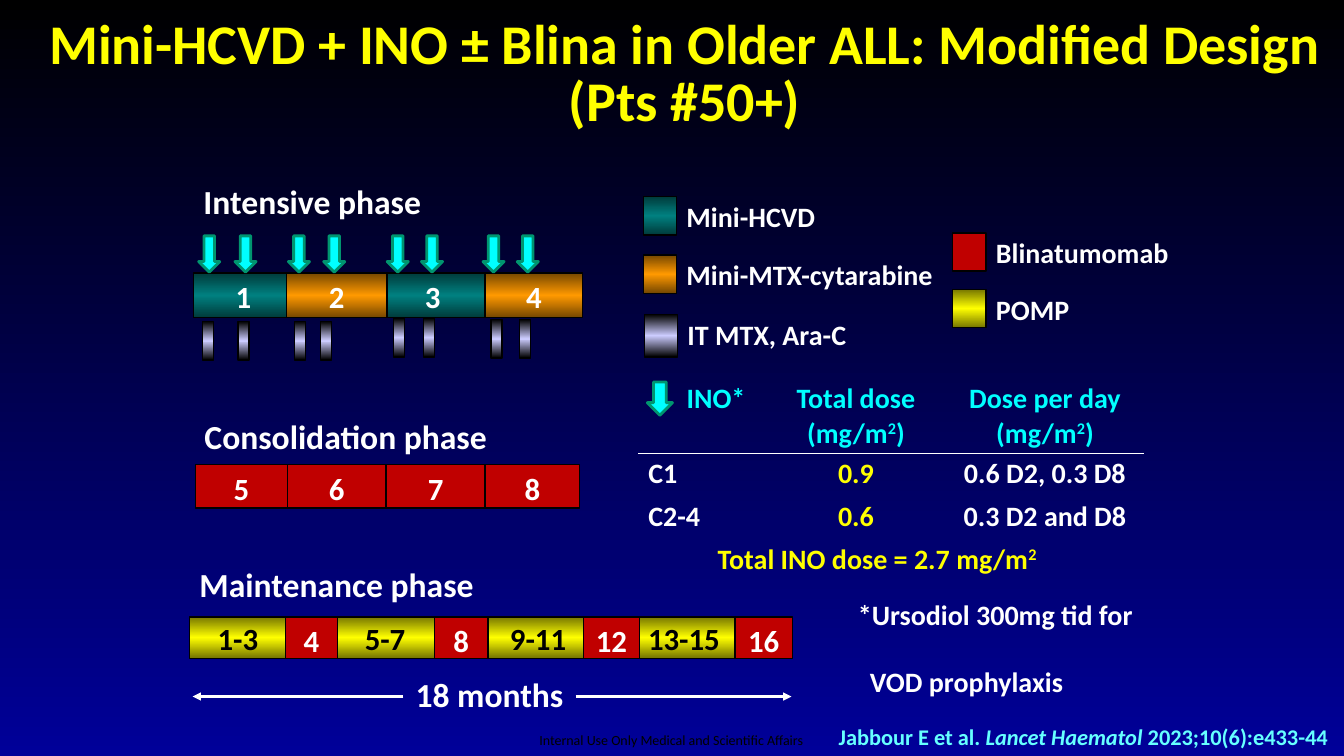
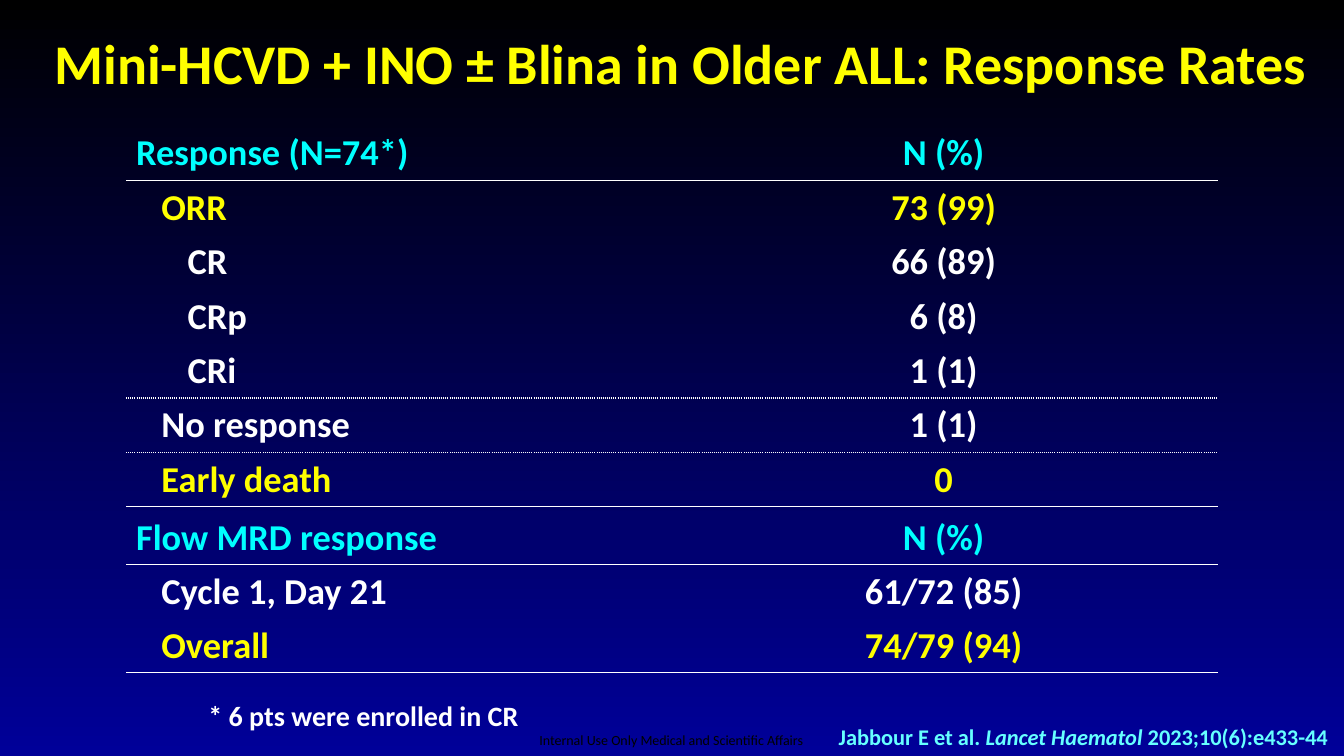
from copy import deepcopy

from lxml import etree
from pptx import Presentation
from pptx.dml.color import RGBColor
from pptx.enum.shapes import MSO_CONNECTOR, MSO_SHAPE
from pptx.enum.text import MSO_ANCHOR, PP_ALIGN
from pptx.oxml.ns import qn
from pptx.util import Inches, Pt

LEFT, CENTER = PP_ALIGN.LEFT, PP_ALIGN.CENTER
TOP, MIDDLE = MSO_ANCHOR.TOP, MSO_ANCHOR.MIDDLE
BOX, DOWN_ARROW = MSO_SHAPE.FLOWCHART_PROCESS, MSO_SHAPE.DOWN_ARROW
STRAIGHT = MSO_CONNECTOR.STRAIGHT

COLOURS = {
    "black": "000000", "navy": "000099", "white": "FFFFFF",
    "yellow": "FFFF00", "cyan": "00FFFF", "citation": "66FFFF",
    "red": "C00000", "arrow edge": "00956F",
}
# Treatment fills: edge and middle colour of a vertical gradient
GRADIENTS = {
    "hcvd": ("003B3B", "008080"),
    "mtx": ("764700", "FF9900"),
    "pomp": ("767600", "FFFF00"),
    "it": ("000000", "CCCCFF"),
}
FONT = "Calibri"
PLAIN_TABLE = "{2D5ABB26-0587-4C30-8999-92F81FD0307C}"
SUPERSCRIPT_2 = ("2", {"baseline": "30000"})


def rgb(name):
    return RGBColor.from_string(COLOURS[name])


# Text
def write(frame, paragraphs, size, colour="white", align=LEFT, bold=True,
          indent=0, **paragraph_format):
    """Each paragraph is a string or a list of (text, changes) runs."""
    for number, content in enumerate(paragraphs):
        paragraph = frame.paragraphs[0] if number == 0 else frame.add_paragraph()
        paragraph.alignment = align
        for name, value in paragraph_format.items():
            setattr(paragraph, name, value)
        if indent:
            paragraph._p.get_or_add_pPr().set("marL", str(Inches(indent)))
        runs = [(content, {})] if isinstance(content, str) else content
        for text, changes in runs:
            run = paragraph.add_run()
            run.text = text
            formats = {"name": FONT, "size": Pt(size), "bold": bold,
                       "italic": changes.get("italic", False)}
            for name, value in formats.items():
                setattr(run.font, name, value)
            run.font.color.rgb = rgb(colour)
            if "baseline" in changes:
                run.font._element.set("baseline", changes["baseline"])


def add_text(slide, left, top, width, height, paragraphs, size,
             inset=(0.1, 0.05), anchor=TOP, **style):
    box = slide.shapes.add_textbox(
        Inches(left), Inches(top), Inches(width), Inches(height))
    across, down = map(Inches, inset)
    formats = {"word_wrap": True, "vertical_anchor": anchor,
               "margin_left": across, "margin_right": across,
               "margin_top": down, "margin_bottom": down}
    for name, value in formats.items():
        setattr(box.text_frame, name, value)
    write(box.text_frame, paragraphs, size, **style)
    return box


# Shapes
def fill_shape(shape, fill):
    if fill in COLOURS:
        shape.fill.solid()
        shape.fill.fore_color.rgb = rgb(fill)
        return
    edge, middle = map(RGBColor.from_string, GRADIENTS[fill])
    shape.fill.gradient()
    shape.fill.gradient_angle = 270
    first, last = shape.fill.gradient_stops
    first.color.rgb, first.position = middle, 0.5
    last.color.rgb, last.position = edge, 1
    stops = shape._element.spPr.find(qn("a:gradFill")).find(qn("a:gsLst"))
    start = deepcopy(stops[1])
    start.set("pos", "0")
    stops.insert(0, start)


def add_block(slide, left, top, width, height, fill, label="",
              kind=BOX, edge="black", edge_width=1):
    block = slide.shapes.add_shape(
        kind, Inches(left), Inches(top), Inches(width), Inches(height))
    block.shadow.inherit = False
    fill_shape(block, fill)
    block.line.color.rgb = rgb(edge)
    block.line.width = Pt(edge_width)
    if label:
        block.text_frame.vertical_anchor = TOP
        write(block.text_frame, [label], 22, align=CENTER)


def add_ino_arrow(slide, left, top, width=0.21, height=0.36):
    add_block(slide, left, top, width, height, "cyan",
              kind=DOWN_ARROW, edge="arrow edge", edge_width=2)


def add_band(slide, top, height, edges, labels, fills):
    for left, right, label, fill in zip(edges, edges[1:], labels, fills):
        add_block(slide, left, top, right - left, height, fill, label)


def add_time_arrow(slide, start, end, y):
    arrow = slide.shapes.add_connector(
        STRAIGHT, Inches(start), Inches(y), Inches(end), Inches(y))
    arrow.line.color.rgb = rgb("white")
    arrow.line.width = Pt(1.5)
    line = arrow.line._get_or_add_ln()
    etree.SubElement(line, qn("a:tailEnd"), type="triangle")
    etree.SubElement(arrow._element.spPr, qn("a:effectLst"))


# Tables
def rule_below(cell, dash):
    border = etree.Element(qn("a:lnB"), w=str(Pt(1)))
    solid = etree.SubElement(border, qn("a:solidFill"))
    etree.SubElement(solid, qn("a:srgbClr"), val=COLOURS["white"])
    etree.SubElement(border, qn("a:prstDash"), val=dash)
    cell._tc.get_or_add_tcPr().insert(0, border)


def add_data_table(slide, left, top, widths, heights, rows, size, margin):
    """Each row is (cell texts, cell colours, first-cell indent, rule below)."""
    table = slide.shapes.add_table(
        len(rows), len(widths), Inches(left), Inches(top),
        Inches(sum(widths)), Inches(sum(heights))).table
    table.first_row = table.horz_banding = False
    table._tbl.tblPr.find(qn("a:tableStyleId")).text = PLAIN_TABLE
    for column, width in zip(table.columns, widths):
        column.width = Inches(width)
    for y, (texts, colours, indent, rule) in enumerate(rows):
        table.rows[y].height = Inches(heights[y])
        for x, (text, colour) in enumerate(zip(texts, colours)):
            cell = table.cell(y, x)
            cell.margin_top = cell.margin_bottom = Inches(margin)
            cell.fill.background()
            write(cell.text_frame, [text] if isinstance(text, str) else text,
                  size, colour, CENTER if x else LEFT,
                  indent=0 if x else indent)
            if rule:
                rule_below(cell, rule)


# Shared slide parts
def new_slide(prs, title, left, top):
    slide = prs.slides.add_slide(prs.slide_layouts[6])
    background = slide.background.fill
    background.gradient()
    background.gradient_angle = 270
    for stop, colour in zip(background.gradient_stops, ("black", "navy")):
        stop.color.rgb = rgb(colour)
    add_text(slide, 5.35, 7.26, 2.66, 0.17,
             ["Internal Use Only Medical and Scientific Affairs"], 10,
             inset=(0, 0), colour="black", bold=False)
    add_text(slide, left, top, 13.33 - left, 1, [title], 40, anchor=MIDDLE,
             colour="yellow", align=CENTER, line_spacing=0.85)
    citation = [("Jabbour E et al. ", {}),
                ("Lancet Haematol ", {"italic": True}),
                ("2023;10(6):e433-44", {})]
    add_text(slide, 8.22, 7.13, 5.11, 0.37, [citation], 16, colour="citation")
    return slide


def add_phases(slide):
    for heading, left, top in (("Intensive phase", 1.92, 1.75),
                               ("Consolidation phase", 1.93, 4.08),
                               ("Maintenance phase", 1.88, 5.55)):
        add_text(slide, left, top, 3.5, 0.5, [heading], 24)

    # Intensive phase: cycles, INO doses above, intrathecal doses below
    add_band(slide, 2.71, 0.44, (1.92, 2.84, 3.84, 4.81, 5.78),
             (" 1", "2", "3 ", "4"), ("hcvd", "mtx") * 2)
    for dose in (1.97, 2.33, 2.86, 3.21, 3.84, 4.18, 4.79, 5.13):
        add_ino_arrow(slide, dose, 2.34)
    for top, doses in ((3.19, (2.01, 2.36, 2.92, 3.18)),
                       (3.16, (3.9, 4.2)), (3.17, (4.87, 5.15))):
        for dose in doses:
            add_block(slide, dose, top, 0.11, 0.38, "it")

    # Consolidation phase
    add_band(slide, 4.61, 0.43, (1.94, 2.85, 3.83, 4.81, 5.75),
             "5678", ("red",) * 4)

    # Maintenance phase: one POMP bar with blinatumomab cycles on it
    add_block(slide, 1.88, 6.12, 5.95, 0.41, "pomp")
    for cycle, left, width in (("4", 2.83, 0.52), ("8", 4.31, 0.53),
                               ("12", 5.79, 0.55), ("16", 7.29, 0.57)):
        add_block(slide, left, 6.12, width, 0.41, "red", cycle)
    for cycles, left in (("1-3", 2.06), ("5-7", 3.52),
                         ("9-11", 4.96), ("13-15", 6.33)):
        add_text(slide, left, 6.1, 1, 0.47, [cycles], 22, colour="black")

    # Duration
    add_text(slide, 3.71, 6.64, 2.29, 0.5, ["18 months"], 24, align=CENTER)
    add_time_arrow(slide, 4, 1.91, 6.91)
    add_time_arrow(slide, 5.71, 7.85, 6.91)


def add_legend(slide):
    for name, fill, left, top in (
            ("Mini-HCVD", "hcvd", 6.38, 1.95),
            ("Mini-MTX-cytarabine", "mtx", 6.38, 2.53),
            ("IT MTX, Ara-C", "it", 6.39, 3.12),
            ("Blinatumomab", "red", 9.45, 2.31),
            ("POMP", "pomp", 9.45, 2.87)):
        add_block(slide, left, top, 0.33, 0.42 if fill == "it" else 0.38, fill)
        add_text(slide, left + 0.33, top - 0.02, 2.92, 0.44, [name], 20)


def add_ino_doses(slide):
    unit = [("(mg/m", {}), SUPERSCRIPT_2, (")", {})]
    dose_colours = ("white", "yellow", "white")
    rows = [
        (("INO*", ["Total dose", unit], ["Dose per day", unit]),
         ("cyan",) * 3, 0.38, "solid"),
        (("C1", "0.9", "0.6 D2, 0.3 D8"), dose_colours, 0, None),
        (("C2-4", "0.6", "0.3 D2 and D8"), dose_colours, 0, None),
    ]
    add_data_table(slide, 6.33, 3.75, (1.27, 1.78, 1.97),
                   (0.74, 0.42, 0.42), rows, 20, 0.04)
    add_ino_arrow(slide, 6.42, 3.79, 0.25, 0.33)
    add_text(slide, 7.02, 5.32, 3.6, 0.44,
             [[("Total INO dose = 2.7 mg/m", {}), SUPERSCRIPT_2]], 20,
             colour="yellow")
    note = add_text(slide, 8.41, 5.88, 2.93, 0.77,
                    ["*Ursodiol 300mg tid for", "VOD prophylaxis"], 20)
    prophylaxis = note.text_frame.paragraphs[1]
    prophylaxis.space_before = Pt(23.5)
    prophylaxis._p.get_or_add_pPr().set("marL", str(Inches(0.12)))


def add_response_tables(slide):
    def row(label, value, colour="white", indent=0.25, rule=None):
        return (label, value), (colour, colour), indent, rule

    responses = [
        row("Response (N=74*)", "N (%)", "cyan", 0, "solid"),
        row("ORR", "73 (99)", "yellow"),
        row("CR", "66 (89)", indent=0.51),
        row("CRp", "6 (8)", indent=0.51),
        row("CRi", "1 (1)", indent=0.51, rule="sysDot"),
        row("No response", "1 (1)", rule="sysDot"),
        row("Early death", "0", "yellow", rule="solid"),
    ]
    mrd_responses = [
        row("Flow MRD response", "N (%)", "cyan", 0, "solid"),
        row("Cycle 1, Day 21", "61/72 (85)"),
        row("Overall", "74/79 (94)", "yellow", rule="solid"),
    ]
    for top, height, rows in ((1.25, 0.54, responses),
                              (5.07, 0.53, mrd_responses)):
        add_data_table(slide, 1.25, top, (5.39, 5.44), [height] * len(rows),
                       rows, 26, 0.05)
    add_text(slide, 1.45, 6.88, 4.31, 0.44, ["* 6 pts were enrolled in CR"],
             20, align=CENTER)


def main():
    prs = Presentation()
    prs.slide_width, prs.slide_height = Inches(13.33), Inches(7.5)

    study = "Mini-HCVD + INO ± Blina in Older ALL: "
    design = new_slide(prs, study + "Modified Design (Pts #50+)", 0.25, 0.25)
    add_phases(design)
    add_legend(design)
    add_ino_doses(design)

    response = new_slide(prs, study + "Response Rates", 0.17, 0.17)
    add_response_tables(response)

    prs.save("out.pptx")


if __name__ == "__main__":
    main()
